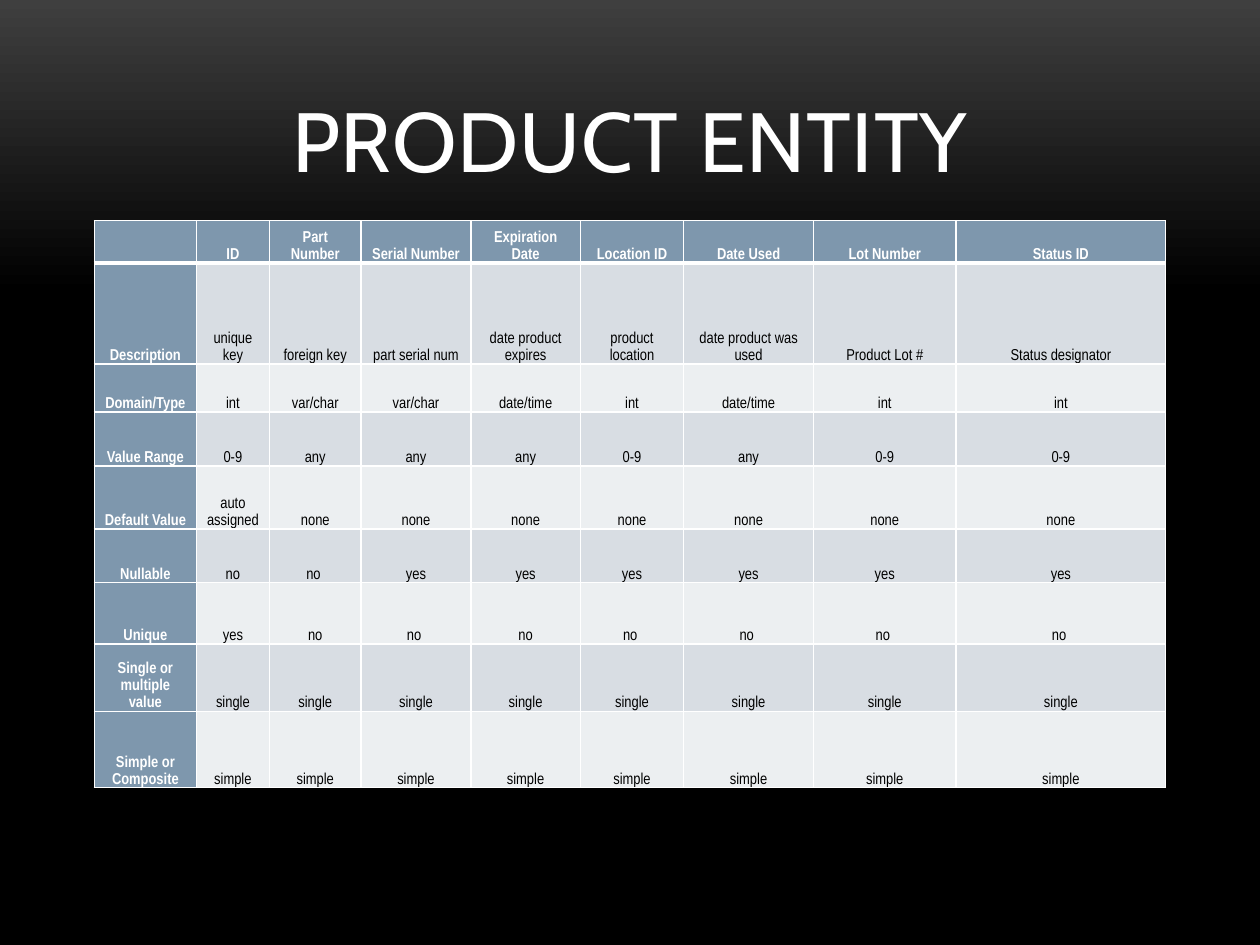
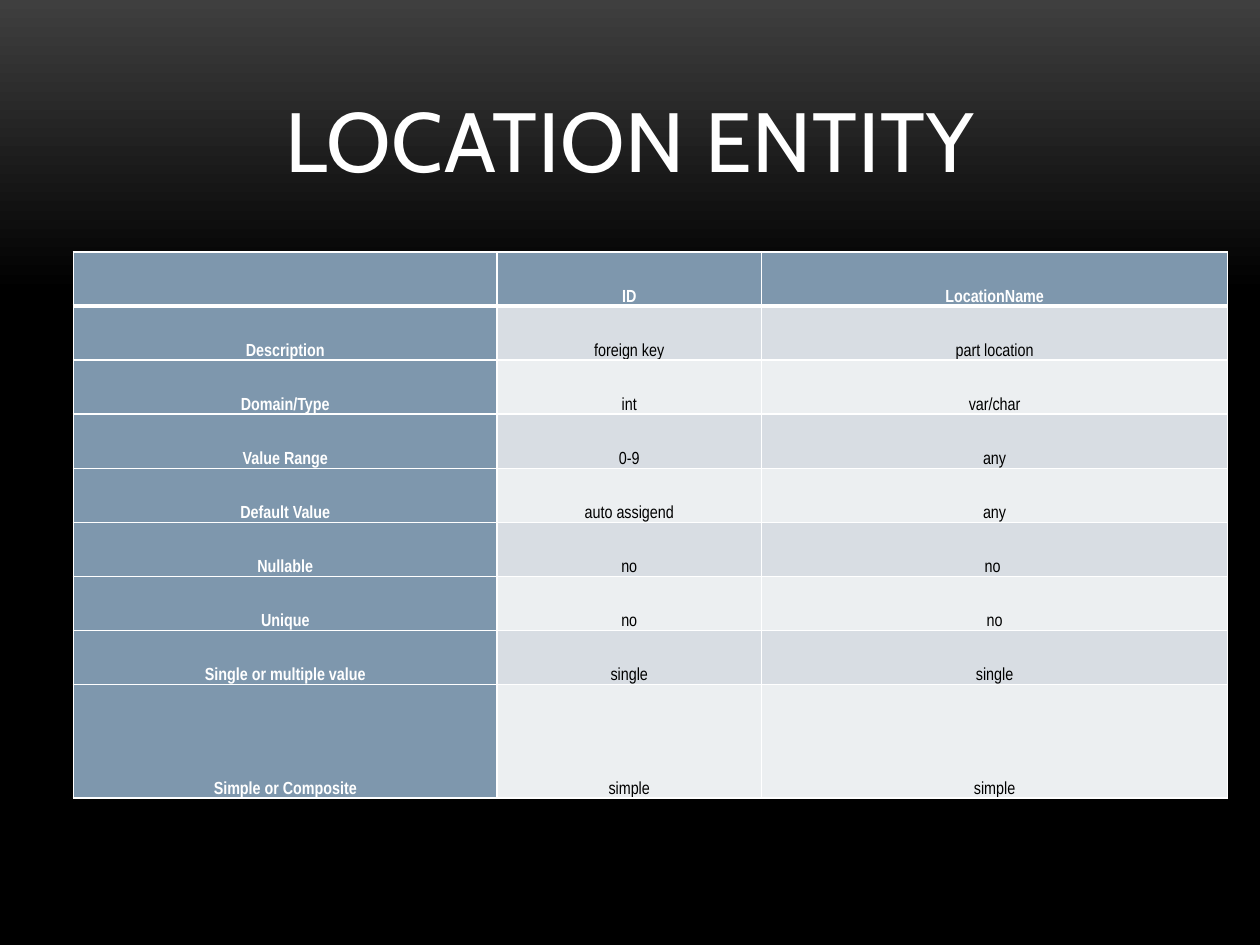
from copy import deepcopy
from dataclasses import dataclass

from lxml import etree
from pptx import Presentation
from pptx.dml.color import RGBColor
from pptx.enum.text import MSO_ANCHOR, MSO_AUTO_SIZE, PP_ALIGN
from pptx.oxml.ns import qn
from pptx.util import Cm, Pt


@dataclass(frozen=True)
class Theme:
    glow: str = "3F3F3F"
    black: str = "000000"
    white: str = "FFFFFF"
    header: str = "7E97AD"
    band_dark: str = "D8DDE3"
    band_light: str = "ECEFF1"
    title_font: str = "Cabin"
    table_font: str = "Arial Narrow"
    title_size: int = 48
    thin: int = 1
    thick: int = 3


T = Theme()

LABELS = ["", "Description", "Domain/Type", "Value Range", "Default Value",
          "Nullable", "Unique", "Single or multiple value", "Simple or Composite"]

ENTITIES = [
    {
        "title": "PRODUCT ENTITY", "left": 1.9, "top": 4.45, "size": 9,
        "cols": [2.06, 1.47, 1.85, 2.21, 2.21, 2.08, 2.62, 2.87, 4.23],
        "heights": [0.85, 2.04, 0.97, 1.08, 1.27, 1.08, 1.24, 1.36, 1.54],
        "values": [
            ["ID", "Part Number", "Serial Number", "Expiration Date",
             "Location ID", "Date Used", "Lot Number", "Status ID"],
            ["unique key", "foreign key", "part serial num", "date product expires",
             "product location", "date product was used", "Product Lot #",
             "Status designator"],
            ["int", "var/char", "var/char", "date/time", "int", "date/time", "int", "int"],
            ["0-9", "any", "any", "any", "0-9", "any", "0-9", "0-9"],
            ["auto assigned"] + ["none"] * 7,
            ["no", "no "] + ["yes"] * 6,
            ["yes", "no", "no ", " no "] + ["no "] * 4,
            ["single"] * 8,
            ["simple"] * 8,
        ],
    },
    {
        "title": "LOCATION ENTITY", "left": 1.48, "top": 5.08, "size": 10,
        "cols": [8.54, 5.33, 9.4],
        "heights": [1.09] * 8 + [2.29],
        "values": [
            ["ID", "LocationName"],
            ["foreign key", "part location"],
            ["int", "var/char"],
            ["0-9", "any"],
            ["auto assigend", "any"],
            ["no", "no "],
            ["no", "no"],
            ["single"] * 2,
            ["simple"] * 2,
        ],
    },
]


def style_run(r, font, size, color, bold=False):
    r.font.name = font
    r.font.size = Pt(size)
    r.font.bold = bold
    r.font.color.rgb = RGBColor.from_string(color)


def add_border(cell, side, width):
    ln = etree.SubElement(cell._tc.get_or_add_tcPr(), qn(f"a:ln{side}"), w=str(Pt(width)))
    fill = etree.SubElement(ln, qn("a:solidFill"))
    etree.SubElement(fill, qn("a:srgbClr"), val=T.white)


prs = Presentation()
prs.slide_width, prs.slide_height = Cm(25.4), Cm(19.05)

# Shared background: grey glow fading to black
bg = prs.slide_master.background.fill
bg.gradient()
bg.gradient_angle = 270
for stop, color, position in zip(bg.gradient_stops, (T.glow, T.black), (0, 0.31)):
    stop.color.rgb = RGBColor.from_string(color)
    stop.position = position
stops = prs.slide_master.element.find(".//" + qn("a:gsLst"))
stops.append(deepcopy(stops[-1]))
stops[-1].set("pos", "100000")

for entity in ENTITIES:
    s = prs.slides.add_slide(prs.slide_layouts[5])

    # Title
    title = s.shapes.title
    title.left, title.top, title.width, title.height = Cm(1.7), Cm(0.76), Cm(22.01), Cm(3.18)
    tf = title.text_frame
    tf.text = entity["title"]
    tf.auto_size = MSO_AUTO_SIZE.NONE
    tf.vertical_anchor = MSO_ANCHOR.BOTTOM
    p = tf.paragraphs[0]
    p.alignment = PP_ALIGN.CENTER
    style_run(p.runs[0], T.title_font, T.title_size, T.white)
    p.runs[0].font._element.set("spc", "50")

    # Attribute table
    cols, heights = entity["cols"], entity["heights"]
    table = s.shapes.add_table(len(heights), len(cols), Cm(entity["left"]), Cm(entity["top"]),
                               Cm(sum(cols)), Cm(sum(heights))).table
    table.first_col = True
    for column, width in zip(table.columns, cols):
        column.width = Cm(width)
    for row, height in zip(table.rows, heights):
        row.height = Cm(height)

    for i, (label, values) in enumerate(zip(LABELS, entity["values"])):
        for j, text in enumerate([label] + values):
            cell = table.cell(i, j)
            is_header = i == 0 or j == 0
            cell.vertical_anchor = MSO_ANCHOR.BOTTOM
            cell.margin_left = cell.margin_right = Cm(0.18)
            cell.margin_top = cell.margin_bottom = 0

            # Thick rule between the header row and the first data row
            for side in "LRTB":
                heavy = (i, side) in ((0, "B"), (1, "T"))
                add_border(cell, side, T.thick if heavy else T.thin)
            band = T.band_dark if i % 2 else T.band_light
            cell.fill.solid()
            cell.fill.fore_color.rgb = RGBColor.from_string(T.header if is_header else band)

            p = cell.text_frame.paragraphs[0]
            p.text = text
            p.alignment = PP_ALIGN.CENTER
            p.line_spacing = 1.15
            for r in p.runs:
                style_run(r, T.table_font, entity["size"],
                          T.white if is_header else T.black, is_header)
            if not text:
                etree.SubElement(p._p, qn("a:endParaRPr"), sz=str(entity["size"] * 100))

prs.save("out.pptx")
